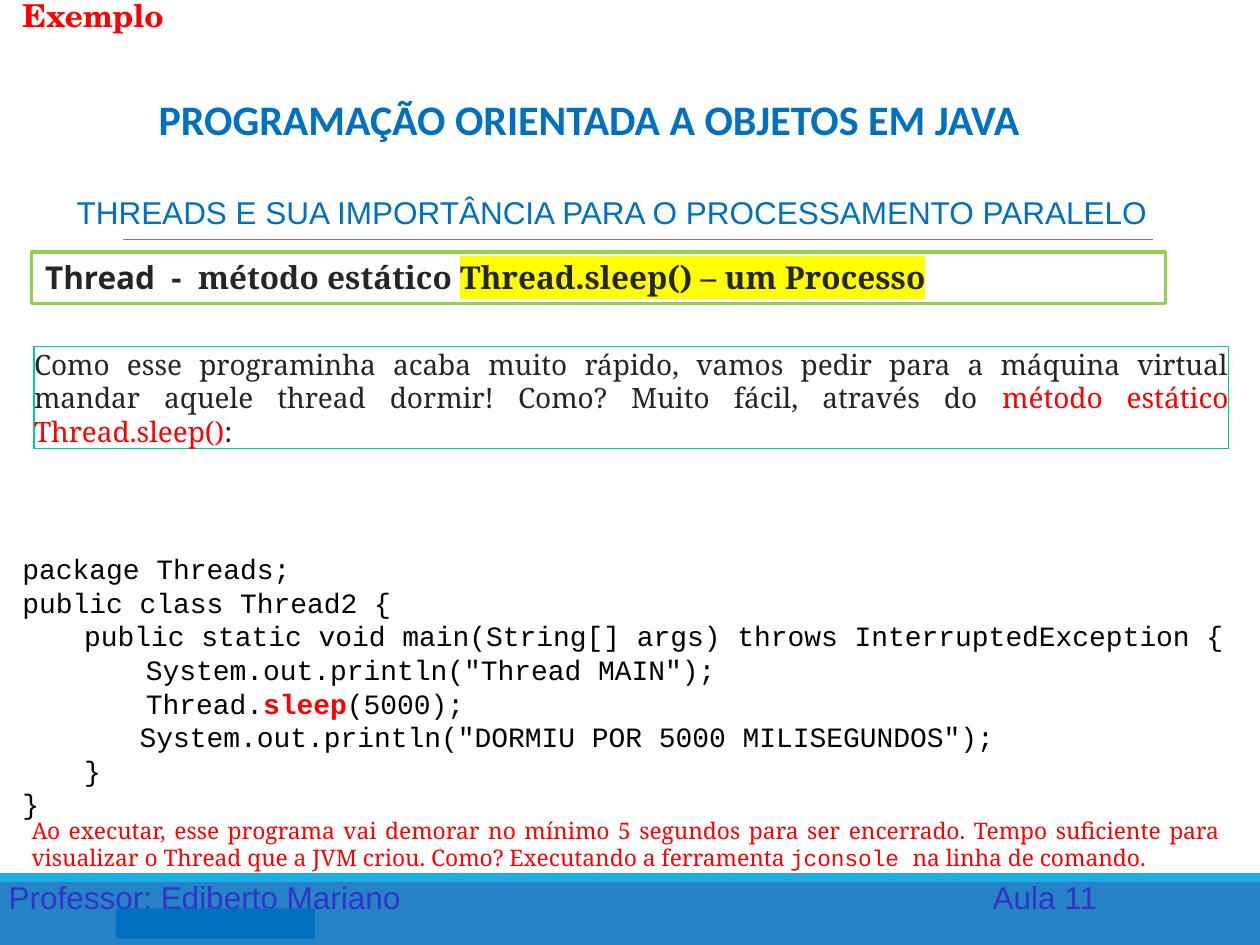
from dataclasses import dataclass
from typing import Optional

from lxml import etree
from pptx import Presentation
from pptx.dml.color import RGBColor
from pptx.enum.shapes import MSO_CONNECTOR, MSO_SHAPE
from pptx.enum.text import MSO_ANCHOR, PP_ALIGN
from pptx.oxml.ns import qn
from pptx.util import Inches, Pt

RECTANGLE = MSO_SHAPE.RECTANGLE
STRAIGHT = MSO_CONNECTOR.STRAIGHT
TOP, MIDDLE, BOTTOM = MSO_ANCHOR.TOP, MSO_ANCHOR.MIDDLE, MSO_ANCHOR.BOTTOM
LEFT, CENTER, JUSTIFY = PP_ALIGN.LEFT, PP_ALIGN.CENTER, PP_ALIGN.JUSTIFY

BLACK = RGBColor(0x00, 0x00, 0x00)
DARK = RGBColor(0x25, 0x25, 0x25)
GRAY = RGBColor(0x7F, 0x7F, 0x7F)
RED = RGBColor(0xFF, 0x00, 0x00)
BLUE = RGBColor(0x00, 0x70, 0xC0)
FOOTER_BLUE = RGBColor(0x26, 0x83, 0xC6)
FOOTER_EDGE = RGBColor(0x1C, 0xAD, 0xE4)
INDIGO = RGBColor(0x33, 0x33, 0xCC)
TEAL = RGBColor(0x00, 0xCC, 0x99)
GREEN = RGBColor(0x92, 0xD0, 0x50)

CODE_INDENT = 0.49


@dataclass
class Piece:
    """A stretch of text with what differs from its paragraph."""
    text: str
    color: Optional[RGBColor] = None
    font: Optional[str] = None
    bold: Optional[bool] = None
    highlight: Optional[str] = None


@dataclass
class Line:
    pieces: list[Piece]
    indent: float = 0
    tab_stop: float = 0


@dataclass
class TextBlock:
    box: tuple[float, float, float, float]
    lines: list[Line]
    font: str
    size: float
    color: RGBColor
    bold: bool = False
    align: PP_ALIGN = LEFT
    anchor: MSO_ANCHOR = TOP
    inset: tuple[float, float] = (0.1, 0.05)
    border: Optional[tuple[RGBColor, float]] = None


def add_bar(slide, box: tuple[float, float, float, float], color: RGBColor) -> None:
    shape = slide.shapes.add_shape(RECTANGLE, *map(Inches, box))
    shape.shadow.inherit = False
    shape.fill.solid()
    shape.fill.fore_color.rgb = color
    shape.line.fill.background()


def add_rule(slide, left: float, right: float, top: float) -> None:
    rule = slide.shapes.add_connector(
        STRAIGHT, Inches(left), Inches(top), Inches(right), Inches(top))
    rule.line.color.rgb = GRAY
    rule.line.width = Pt(0.5)
    etree.SubElement(rule._element.spPr, qn("a:effectLst"))


def add_piece(paragraph, piece: Piece) -> None:
    run = paragraph.add_run()
    run.text = piece.text
    if piece.font:
        run.font.name = piece.font
    if piece.bold is not None:
        run.font.bold = piece.bold
    if piece.color is not None:
        run.font.color.rgb = piece.color
    if piece.highlight:
        highlight = etree.Element(qn("a:highlight"))
        etree.SubElement(highlight, qn("a:srgbClr"), val=piece.highlight)
        run._r.get_or_add_rPr().find(qn("a:solidFill")).addnext(highlight)


def add_line(paragraph, line: Line, block: TextBlock) -> None:
    paragraph.alignment = block.align
    properties = paragraph._p.get_or_add_pPr()
    if line.indent:
        properties.set("marL", str(Inches(line.indent)))
        properties.set("indent", "0")
    if line.tab_stop:
        tabs = etree.SubElement(properties, qn("a:tabLst"))
        etree.SubElement(tabs, qn("a:tab"), pos=str(Inches(line.tab_stop)), algn="l")
    font = paragraph.font
    font.name, font.size, font.bold = block.font, Pt(block.size), block.bold
    font.color.rgb = block.color
    for piece in line.pieces:
        add_piece(paragraph, piece)


def add_text(slide, block: TextBlock) -> None:
    box = [Inches(length) for length in block.box]
    if block.border:
        shape = slide.shapes.add_shape(RECTANGLE, *box)
        shape.shadow.inherit = False
        shape.fill.background()
        shape.line.color.rgb = block.border[0]
        shape.line.width = Pt(block.border[1])
    else:
        shape = slide.shapes.add_textbox(*box)
    frame = shape.text_frame
    frame.word_wrap = True
    frame.vertical_anchor = block.anchor
    frame.margin_left = frame.margin_right = Inches(block.inset[0])
    frame.margin_top = frame.margin_bottom = Inches(block.inset[1])
    for index, line in enumerate(block.lines):
        paragraph = frame.add_paragraph() if index else frame.paragraphs[0]
        add_line(paragraph, line, block)


def plain(text: str, indent: float = 0) -> Line:
    return Line([Piece(text)], indent)


CODE = [
    plain("package Threads;"),
    plain("public class Thread2 {"),
    plain("public static void main(String[] args) throws InterruptedException {", CODE_INDENT),
    plain('System.out.println("Thread MAIN");', 2 * CODE_INDENT),
    Line([Piece("Thread."), Piece("sleep", RED, bold=True), Piece("(5000);")], 2 * CODE_INDENT),
    plain('System.out.println("DORMIU POR 5000 MILISEGUNDOS");', 0.93),
    plain("}", CODE_INDENT),
    plain("}"),
]

FOOTER = TextBlock(
    (-0.03, 6.92, 9, 0.4),
    [Line([Piece("Professor: Ediberto Mariano\tAula 11")], tab_stop=7.81)],
    "Arial", 18, INDIGO)

CONTENT = [
    TextBlock((1.03, 0.67, 7.29, 0.52), [plain("PROGRAMAÇÃO ORIENTADA A OBJETOS EM JAVA")],
              "Calibri", 24, BLUE, bold=True, align=CENTER, anchor=BOTTOM),
    TextBlock((0.5, 1.48, 9.17, 0.41),
              [plain("THREADS E SUA IMPORTÂNCIA PARA O PROCESSAMENTO PARALELO", 0.01)],
              "Arial", 18, BLUE),
    TextBlock((0.08, 4.33, 9.83, 2.26), CODE, "Courier New", 16, BLACK),
    TextBlock((0.27, 2.75, 9.48, 0.81), [Line([
        Piece("Como esse programinha acaba muito rápido, vamos pedir para a máquina virtual "
              "mandar aquele thread dormir! Como? Muito fácil, através do "),
        Piece("método estático Thread.sleep()", RED),
        Piece(":")])],
        "Noto Serif", 16, DARK, align=JUSTIFY, anchor=MIDDLE, inset=(0, 0), border=(TEAL, 0.75)),
    TextBlock((0.25, 6.48, 9.42, 0.44), [Line([
        Piece("Ao executar, esse programa vai demorar no mínimo 5 segundos para ser encerrado. "
              "Tempo suficiente para visualizar o Thread que a JVM criou. "
              "Como? Executando a ferramenta "),
        Piece("jconsole ", font="Courier New"),
        Piece("na linha de comando.")])],
        "Noto Serif", 13, RED, align=JUSTIFY, anchor=MIDDLE, inset=(0, 0)),
    TextBlock((0.25, 2, 9, 0.41), [Line([
        Piece("Thread  -  ", font="Open Sans"),
        Piece("método estático "),
        Piece("Thread.sleep() – um Processo", DARK, highlight="FFFF00")], 0.01)],
        "Noto Serif", 18, DARK, bold=True, border=(GREEN, 1.75)),
    TextBlock((0.08, -0.08, 5.04, 0.4), [plain("Exemplo")],
              "TeX Gyre Schola", 18, RED, bold=True),
]


def main() -> None:
    presentation = Presentation()
    presentation.slide_width, presentation.slide_height = Inches(10), Inches(7.5)
    slide = presentation.slides.add_slide(presentation.slide_layouts[6])

    # Footer band and title rule
    add_bar(slide, (0, 6.93, 10, 0.57), FOOTER_BLUE)
    add_bar(slide, (0, 6.93, 10, 0.07), FOOTER_EDGE)
    add_rule(slide, 0.98, 9.15, 1.9)
    add_text(slide, FOOTER)
    add_bar(slide, (0.92, 7.21, 1.58, 0.24), BLUE)

    # Titles, explanations and code
    for block in CONTENT:
        add_text(slide, block)

    presentation.save("out.pptx")


if __name__ == "__main__":
    main()
